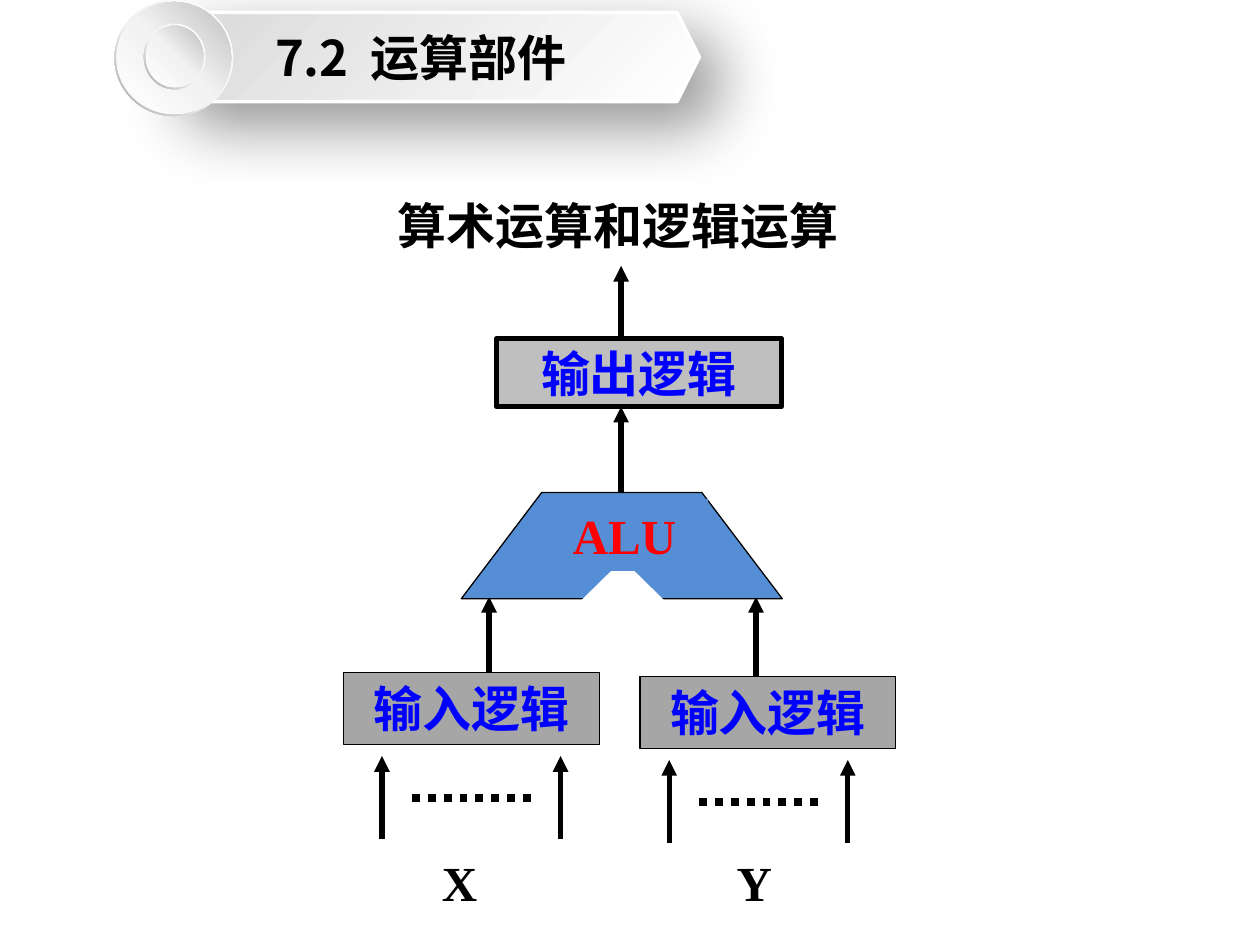
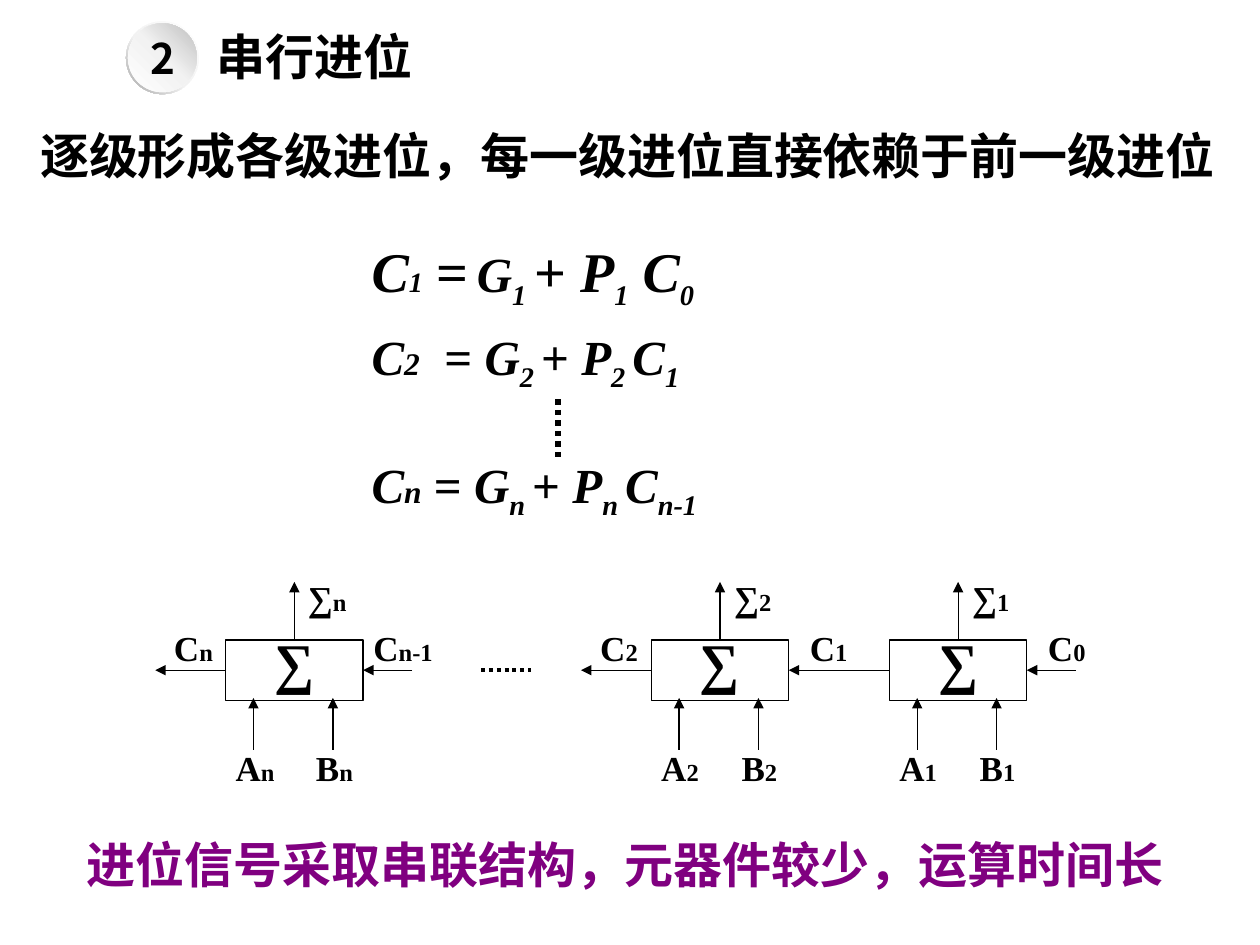
from lxml import etree
from pptx import Presentation
from pptx.dml.color import RGBColor
from pptx.enum.dml import MSO_LINE
from pptx.enum.shapes import MSO_CONNECTOR, MSO_SHAPE
from pptx.enum.text import MSO_ANCHOR, PP_ALIGN
from pptx.oxml.ns import qn
from pptx.util import Cm, Pt

BLACK = RGBColor(0, 0, 0)
WHITE = RGBColor(255, 255, 255)
BLUE = RGBColor(0, 0, 255)
RED = RGBColor(255, 0, 0)
PURPLE = RGBColor(0x80, 0, 0x80)
ALU_BLUE = RGBColor(0x55, 0x8E, 0xD5)
OUTPUT_GREY = RGBColor(0xBF, 0xBF, 0xBF)
INPUT_GREY = RGBColor(0xA6, 0xA6, 0xA6)
BANNER_GRADIENT = [(0, "FFFFFF"), (100, "D9D9D9")]
RIM_GRADIENT = [(0, "FFFFFF"), (55, "F2F2F2"), (100, "A6A6A6")]
FACE_GRADIENT = [(0, "FFFFFF"), (51, "F2F2F2"), (100, "BFBFBF")]

SERIF = "Times New Roman"
SANS = "Noto Sans CJK SC"
LEFT, CENTER = PP_ALIGN.LEFT, PP_ALIGN.CENTER
TOP, MIDDLE = MSO_ANCHOR.TOP, MSO_ANCHOR.MIDDLE
RECTANGLE, ELLIPSE = MSO_SHAPE.RECTANGLE, MSO_SHAPE.OVAL
DONUT, HEXAGON = MSO_SHAPE.DONUT, MSO_SHAPE.HEXAGON
TRIANGLE = MSO_SHAPE.ISOSCELES_TRIANGLE
STRAIGHT, DOTTED = MSO_CONNECTOR.STRAIGHT, MSO_LINE.ROUND_DOT
TOP_SIDE, LEFT_SIDE, RIGHT_SIDE = 0, 1, 3

UPRIGHT = {"italic": False}
SUB = {"baseline": -25}
BIG = {"size": 32}
SECTION_TITLE = [("7.2", {}), (" ", {"spacing": 6.3}), ("运算部件", {})]
CHANNELS = [
    {"name": "X", "left": 6.93, "top": 13.56, "input": 7.7, "gate": 9.86, "name_left": 8.66},
    {"name": "Y", "left": 12.9, "top": 13.64, "input": 13.49, "gate": 15.24, "name_left": 14.6},
]
ALU_OUTLINE = [(9.3, 12.07), (10.92, 9.93), (14.15, 9.93), (15.77, 12.07)]

SERIAL_TEXTS = [
    ("串行进位", (4.11, 0.41, 7.39, 1.45), BLACK),
    ("逐级形成各级进位，每一级进位直接依赖于前一级进位", (0.56, 2.41, 24.51, 1.45), BLACK),
    ("进位信号采取串联结构，元器件较少，运算时间长", (1.5, 16.69, 22.61, 1.45), PURPLE),
]
EQUATIONS = [
    (4.65, 1.6, [("C", BIG), ("1", {"size": 16}), (" =", {**BIG, **UPRIGHT}), (" ", {"size": 18}),
                 ("G", {}), ("1", SUB), (" ", {"size": 18}), ("+ ", {**BIG, **UPRIGHT}),
                 ("P", BIG), ("1", SUB), (" C", BIG), ("0", SUB)]),
    (6.45, 1.45, [("C", {}), ("2", {"size": 18}), (" ", {"spacing": 7}), ("= ", UPRIGHT),
                  ("G", {}), ("2 ", SUB), ("+ ", UPRIGHT), ("P", {}), ("2 ", SUB),
                  ("C", {}), ("1", SUB)]),
    (9.04, 1.45, [("C", {}), ("n", {"size": 18}), (" ", {}), ("= ", UPRIGHT),
                  ("G", {}), ("n ", SUB), ("+ ", UPRIGHT), ("P", {}), ("n ", SUB),
                  ("C", {}), ("n-1", SUB)]),
]
ADDERS = [
    {"index": "n", "left": 4.55, "carry_in": "n-1", "carry_out": "n"},
    {"index": "2", "left": 13.13, "carry_in": "1", "carry_out": "2"},
    {"index": "1", "left": 17.93, "carry_in": "0", "carry_out": None},
]
ADDER_TOP, ADDER_WIDTH, ADDER_HEIGHT = 12.9, 2.77, 1.22
CARRY_Y = ADDER_TOP + ADDER_HEIGHT / 2


def write_text(shape, text, size=28, color=BLACK, font=SERIF, east_asian=SANS, italic=False,
               align=LEFT, anchor=TOP, wrap=True, line_spacing=None, margins=None):
    frame = shape.text_frame
    frame.word_wrap = wrap
    frame.vertical_anchor = anchor
    if margins:
        frame.margin_left, frame.margin_right = (Cm(margin) for margin in margins)
    paragraph = frame.paragraphs[0]
    paragraph.alignment = align
    if line_spacing:
        paragraph.line_spacing = line_spacing
    runs = [(text, {})] if isinstance(text, str) else text
    for words, changes in runs:
        run = paragraph.add_run()
        run.text = words
        run.font.size = Pt(changes.get("size", size))
        run.font.bold = True
        run.font.italic = changes.get("italic", italic)
        run.font.color.rgb = color
        run.font.name = font
        properties = run.font._element
        etree.SubElement(properties, qn("a:ea")).set("typeface", east_asian)
        if "baseline" in changes:
            properties.set("baseline", str(changes["baseline"] * 1000))
        if "spacing" in changes:
            properties.set("spc", str(round(changes["spacing"] * 100)))


def add_text(slide, place, text, **text_format):
    box = slide.shapes.add_textbox(*map(Cm, place))
    write_text(box, text, **text_format)
    return box


def style_shape(shape, fill=None, line=None, width=0.75):
    shape.shadow.inherit = False
    if fill is None:
        shape.fill.background()
    else:
        shape.fill.solid()
        shape.fill.fore_color.rgb = fill
    if line is None:
        shape.line.fill.background()
    else:
        shape.line.color.rgb = line
        shape.line.width = Pt(width)


def add_shape(slide, kind, place, **style):
    shape = slide.shapes.add_shape(kind, *map(Cm, place))
    style_shape(shape, **style)
    return shape


def set_gradient(shape, stops, angle):
    properties = shape._element.spPr
    gradient = etree.Element(qn("a:gradFill"), rotWithShape="1")
    stop_list = etree.SubElement(gradient, qn("a:gsLst"))
    for position, color in stops:
        stop = etree.SubElement(stop_list, qn("a:gs"), pos=str(position * 1000))
        etree.SubElement(stop, qn("a:srgbClr"), val=color)
    etree.SubElement(gradient, qn("a:lin"), ang=str(angle * 60000), scaled="0")
    properties.replace(properties.find(qn("a:noFill")), gradient)


def add_drop_shadow(shape, blur, distance, direction, opacity):
    effects = shape._element.spPr.find(qn("a:effectLst"))
    shadow = etree.SubElement(effects, qn("a:outerShdw"), blurRad=str(Pt(blur)),
                              dist=str(Pt(distance)), dir=str(direction * 60000),
                              algn="tl", rotWithShape="0")
    color = etree.SubElement(shadow, qn("a:srgbClr"), val="000000")
    etree.SubElement(color, qn("a:alpha"), val=str(opacity * 1000))


def add_line(slide, start, end, width=0.75, arrow=True, start_join=None, end_join=None):
    line = slide.shapes.add_connector(STRAIGHT, *map(Cm, start + end))
    if start_join:
        line.begin_connect(*start_join)
    if end_join:
        line.end_connect(*end_join)
    line.line.color.rgb = BLACK
    line.line.width = Pt(width)
    if arrow:
        etree.SubElement(line.line._get_or_add_ln(), qn("a:tailEnd"), type="triangle")
    else:
        line.line.dash_style = DOTTED
    etree.SubElement(line._element.spPr, qn("a:effectLst"))
    return line


def add_knob(slide, left, top, width, height, inset=0.04):
    rim = add_shape(slide, DONUT, (left, top, width, height))
    rim.adjustments[0] = 0.05
    set_gradient(rim, RIM_GRADIENT, 135)
    face = add_shape(slide, ELLIPSE,
                     (left + inset, top + inset, width - 2 * inset, height - 2 * inset))
    set_gradient(face, FACE_GRADIENT, 315)
    return face


def add_channel(slide, channel):
    left, top, first = channel["left"], channel["top"], channel["input"]
    add_line(slide, (channel["gate"], top + 0.1), (channel["gate"], 12.03), width=3)
    box = add_shape(slide, RECTANGLE, (left, top, 5.16, 1.45), fill=INPUT_GREY, line=BLACK)
    write_text(box, "输入逻辑", color=BLUE, align=CENTER)
    for x in (first, first + 3.6):
        add_line(slide, (x, top + 3.36), (x, top + 1.68), width=3)
    add_line(slide, (first + 0.61, top + 2.52), (first + 3.1, top + 2.52), width=4.5, arrow=False)
    add_text(slide, (channel["name_left"], 17.07, 1.24, 1.45), channel["name"], wrap=False)


def build_unit_slide(slide):
    for channel in CHANNELS:
        add_channel(slide, channel)
    output = add_shape(slide, RECTANGLE, (10.01, 6.83, 5.74, 1.37),
                       fill=OUTPUT_GREY, line=BLACK, width=3)
    write_text(output, "输出逻辑", color=BLUE, align=CENTER, anchor=MIDDLE,
               wrap=False, margins=(0, 0))
    for start, end in ((9.91, 8.2), (6.83, 5.36)):
        add_line(slide, (12.52, start), (12.52, end), width=3)

    points = [(Cm(x), Cm(y)) for x, y in ALU_OUTLINE]
    builder = slide.shapes.build_freeform(*points[0])
    builder.add_line_segments(points[1:], close=True)
    style_shape(builder.convert_to_shape(), fill=ALU_BLUE, line=BLACK)
    add_shape(slide, TRIANGLE, (11.68, 11.28, 1.75, 0.86), fill=WHITE)
    plate = add_shape(slide, RECTANGLE, (11.3, 10.06, 2.97, 1.45), fill=ALU_BLUE)
    write_text(plate, "ALU", color=RED)

    banner = add_shape(slide, HEXAGON, (3.1, 0.25, 11, 1.8), line=WHITE, width=2)
    set_gradient(banner, BANNER_GRADIENT, 225)
    add_drop_shadow(banner, blur=38, distance=19, direction=45, opacity=42)
    write_text(banner, SECTION_TITLE, font=SANS, align=CENTER, anchor=MIDDLE, margins=(0.25, 0.48))
    add_knob(slide, 2.31, 0, 2.39, 2.34)
    add_knob(slide, 2.9, 0.48, 1.24, 1.32)
    add_text(slide, (7.77, 3.81, 9.53, 1.45), "算术运算和逻辑运算", wrap=False)


def add_signal(slide, letter, index, left, top, width, align=CENTER):
    add_text(slide, (left, top, width, 0.84), [(letter, {}), (index, {"size": 14})],
             size=20, east_asian=SERIF, align=align, line_spacing=0.7)


def add_adder(slide, adder):
    left, index = adder["left"], adder["index"]
    box = add_shape(slide, RECTANGLE, (left, ADDER_TOP, ADDER_WIDTH, ADDER_HEIGHT), line=BLACK)
    write_text(box, "∑", size=32, east_asian=SERIF, align=CENTER, line_spacing=0.7)
    for letter, arrow_shift, label_shift in (("A", 0.56, -0.05), ("B", 2.16, 1.57)):
        x = left + arrow_shift
        add_line(slide, (x, 15.11), (x, 14.07))
        add_signal(slide, letter, index, left + label_shift, 15.16, 1.6, align=LEFT)
    middle = left + ADDER_WIDTH / 2
    add_line(slide, (middle, ADDER_TOP), (middle, 11.73), start_join=(box, TOP_SIDE))
    add_signal(slide, "∑", index, left + 0.94, 11.73, 2.21)
    add_signal(slide, "C", adder["carry_in"], left + 2.57, 12.73, 2.01)
    if adder["carry_out"]:
        add_line(slide, (left, CARRY_Y), (left - 1.42, CARRY_Y), start_join=(box, LEFT_SIDE))
        add_signal(slide, "C", adder["carry_out"], left - 1.45, 12.73, 1.6)
    return box


def build_serial_slide(slide):
    for text, place, color in SERIAL_TEXTS:
        add_text(slide, place, text, color=color)
    for top, height, runs in EQUATIONS:
        add_text(slide, (7.24, top, 7.5, height), runs, italic=True, wrap=False)
    add_line(slide, (11.25, 8.05), (11.25, 9.25), width=3, arrow=False)

    high, second, first = [add_adder(slide, adder) for adder in ADDERS]
    for box, adder in ((high, ADDERS[0]), (first, ADDERS[2])):
        right = adder["left"] + ADDER_WIDTH
        add_line(slide, (right + 0.99, CARRY_Y), (right, CARRY_Y), end_join=(box, RIGHT_SIDE))
    add_line(slide, (ADDERS[2]["left"], CARRY_Y), (ADDERS[1]["left"] + ADDER_WIDTH, CARRY_Y),
             start_join=(first, LEFT_SIDE), end_join=(second, RIGHT_SIDE))
    add_line(slide, (9.7, CARRY_Y), (10.7, CARRY_Y), width=2.25, arrow=False)

    number = add_knob(slide, 2.54, 0.43, 1.47, 1.47)
    write_text(number, "2", size=24, font=SANS, align=CENTER, anchor=MIDDLE)


def main():
    presentation = Presentation()
    presentation.slide_width, presentation.slide_height = Cm(25.4), Cm(19.05)
    for build in (build_unit_slide, build_serial_slide):
        build(presentation.slides.add_slide(presentation.slide_layouts[6]))
    presentation.save("out.pptx")


if __name__ == "__main__":
    main()
